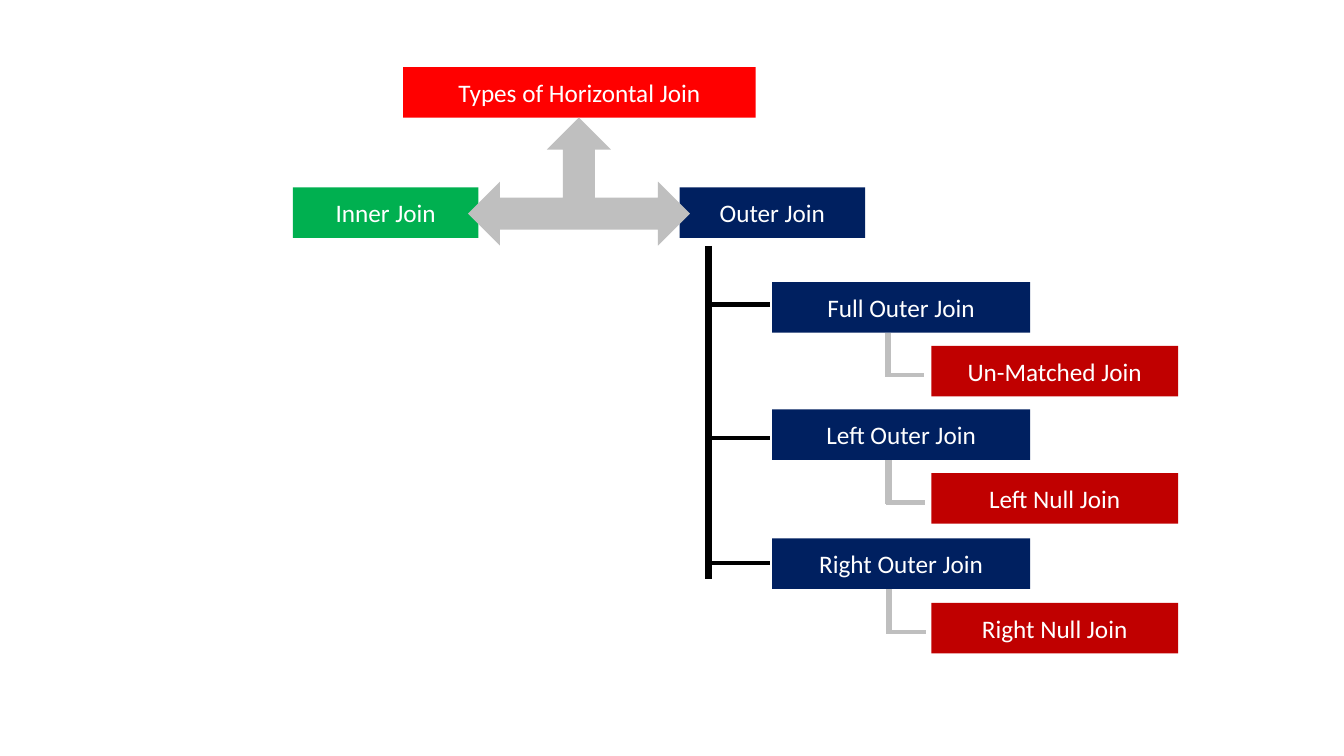
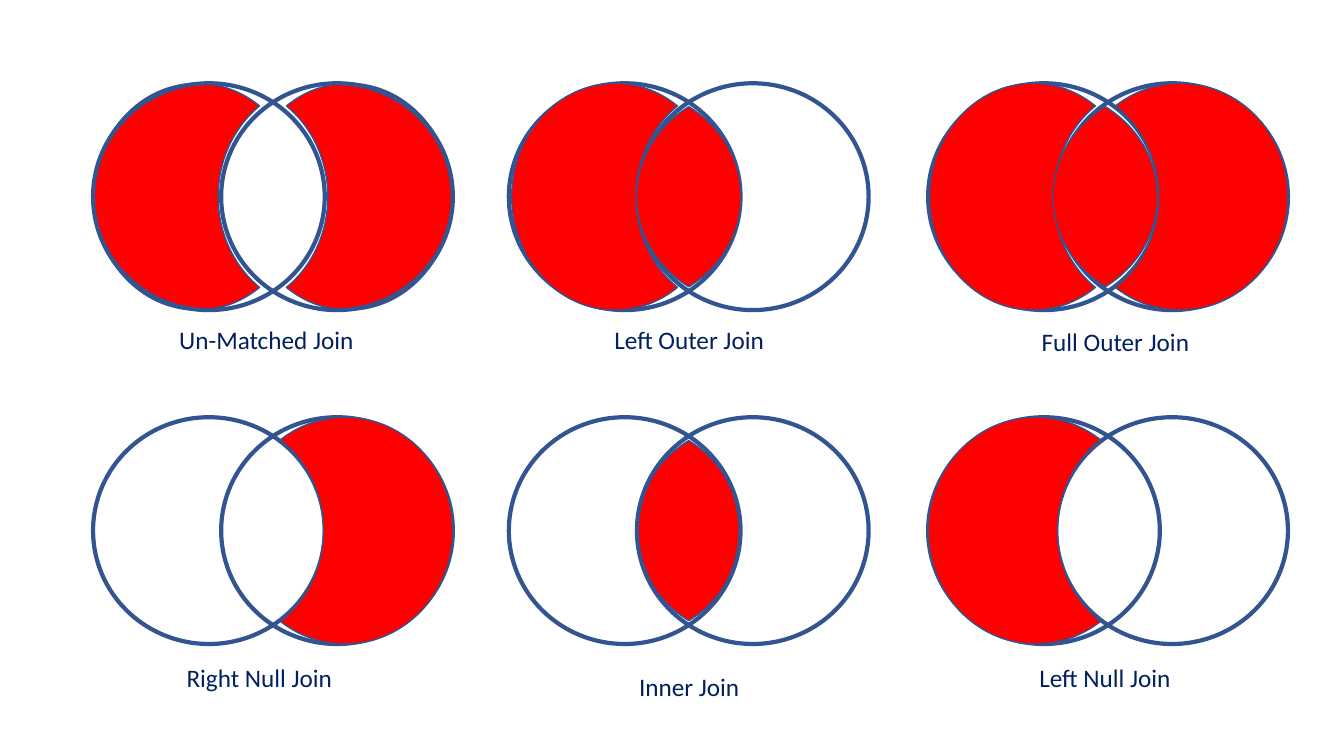
from math import acos, cos, pi, sin, tan

from lxml.etree import SubElement
from pptx import Presentation
from pptx.dml.color import RGBColor
from pptx.enum.shapes import MSO_CONNECTOR as Link, MSO_SHAPE as Kind
from pptx.enum.text import MSO_ANCHOR as Anchor, MSO_AUTO_SIZE as Fit, PP_ALIGN as Align
from pptx.oxml.ns import qn
from pptx.util import Pt

RED = RGBColor(0xFF, 0x00, 0x00)
CRIMSON = RGBColor(0xC0, 0x00, 0x00)
GREEN = RGBColor(0x00, 0xB0, 0x50)
NAVY = RGBColor(0x00, 0x20, 0x60)
BLUE = RGBColor(0x32, 0x54, 0x91)
GREY = RGBColor(0xBF, 0xBF, 0xBF)
BLACK = RGBColor(0x00, 0x00, 0x00)
WHITE = RGBColor(0xFF, 0xFF, 0xFF)

FONT = {"name": "Calibri", "size": Pt(18)}
BOX_H = 36.2
RING_W, RING_H, SHIFT = 165.5, 162, 91.5

BRANCHES = [
    ("Full Outer Join", 201.5, 217.5, "Un-Matched Join", 247),
    ("Left Outer Join", 292.4, 312.6, "Left Null Join", 337.9),
    ("Right Outer Join", 384.5, 401.9, "Right Null Join", 430.6),
]

COLS = [66.5, 363.5, 663]
ROWS = [59.5, 298]
LEFT, RIGHT, LENS = 1, -1, 0
VENNS = [
    ("Un-Matched Join", 116.5, 228, 51, True, [(LEFT, 74.5, 74), (RIGHT, 182.5, 74)]),
    ("Left Outer Join", 418.5, 228, 51, False, [(LENS, 128.5, 83), (LEFT, 76, 74)]),
    ("Full Outer Join", 723, 229.5, 51, False,
     [(LEFT, 75, 74), (RIGHT, 180, 77), (LENS, 126.5, 83)]),
    ("Right Null Join", 111.5, 469.5, 51, False, [(RIGHT, 180, 77)]),
    ("Inner Join", 418.5, 476, 29, True, [(LENS, 128.5, 83)]),
    ("Left Null Join", 715.5, 469.5, 29, False, [(LEFT, 77, 77)]),
]


def paint(shape, fill=None, line=None, width=1):
    shape.shadow.inherit = False
    if fill is None:
        shape.fill.background()
    else:
        shape.fill.solid()
        shape.fill.fore_color.rgb = fill
    if line is None:
        shape.line.fill.background()
    else:
        shape.line.color.rgb = line
        shape.line.width = Pt(width)


def add_form(slide, kind, x, y, w, h, **style):
    shape = slide.shapes.add_shape(kind, Pt(x), Pt(y), Pt(w), Pt(h))
    paint(shape, **style)
    return shape


def write(frame, text, color):
    frame.word_wrap = True
    para = frame.paragraphs[0]
    para.alignment = Align.CENTER
    run = para.add_run()
    run.text = text
    for name, value in FONT.items():
        setattr(run.font, name, value)
    run.font.color.rgb = color


def add_box(slide, text, x, y, w, fill):
    box = add_form(slide, Kind.RECTANGLE, x, y, w, BOX_H, fill=fill)
    box.text_frame.vertical_anchor = Anchor.MIDDLE
    write(box.text_frame, text, WHITE)


def add_label(slide, text, x, y, h):
    label = slide.shapes.add_textbox(Pt(x), Pt(y), Pt(147.5), Pt(h))
    write(label.text_frame, text, NAVY)
    label.text_frame.auto_size = Fit.SHAPE_TO_FIT_TEXT


def add_line(slide, x1, y1, x2, y2, color, width):
    line = slide.shapes.add_connector(Link.STRAIGHT, Pt(x1), Pt(y1), Pt(x2), Pt(y2))
    line.line.color.rgb = color
    line.line.width = Pt(width)
    SubElement(line._element.spPr, qn("a:effectLst"))


def arc(cx, cy, rx, ry, turns):
    dots = []
    for a, b in zip(turns, turns[1:]):
        k = 4 / 3 * tan((b - a) / 4)
        dots += [
            (cos(a) - k * sin(a), sin(a) + k * cos(a)),
            (cos(b) + k * sin(b), sin(b) - k * cos(b)),
            (cos(b), sin(b)),
        ]
    return [(Pt(cx + rx * u), Pt(cy + ry * v)) for u, v in dots]


def crescent(cx, cy, rx, side):
    ry, tip = RING_H / 2, acos(0.6)
    outer = [tip, pi / 2, pi, 3 * pi / 2, 2 * pi - tip]
    inner = [pi + tip, pi, pi - tip]
    return (arc(cx, cy, rx * side, ry, outer)
            + arc(cx + 1.2 * rx * side, cy, rx * side, ry, inner))


def lens(cx, cy, rx):
    ry, tip = 77, acos(0.55)
    return (arc(cx - 0.55 * rx, cy, rx, ry, [-tip, 0, tip])
            + arc(cx + 0.55 * rx, cy, rx, ry, [pi - tip, pi, pi + tip]))


def bend(shape):
    steps = list(shape._element.iter(qn("a:lnTo")))
    for i in range(0, len(steps), 3):
        curve = steps[i].makeelement(qn("a:cubicBezTo"))
        steps[i].addprevious(curve)
        for step in steps[i:i + 3]:
            curve.append(step[0])
            step.getparent().remove(step)


def add_part(slide, side, cx, cy, rx):
    dots = crescent(cx, cy, rx, side) if side else lens(cx, cy, rx)
    pen = slide.shapes.build_freeform(*dots[-1])
    pen.add_line_segments(dots, close=True)
    shape = pen.convert_to_shape()
    bend(shape)
    paint(shape, fill=RED, line=BLUE)


def add_parts(slide, layer):
    for i, (*_, behind, parts) in enumerate(VENNS):
        if behind == layer:
            x, y = COLS[i % 3], ROWS[i // 3]
            for side, dx, rx in parts:
                add_part(slide, side, x + dx, y + RING_H / 2, rx)


def add_rings(slide):
    for y in ROWS:
        for x in COLS:
            for left in (x, x + SHIFT):
                add_form(slide, Kind.OVAL, left, y, RING_W, RING_H, line=BLUE, width=3)


def draw_tree(slide):
    add_box(slide, "Types of Horizontal Join", 288, 47.9, 251.7, RED)
    add_box(slide, "Inner Join", 209.3, 133.8, 132.5, GREEN)
    add_box(slide, "Outer Join", 485.5, 133.8, 132.5, NAVY)
    add_form(slide, Kind.LEFT_RIGHT_UP_ARROW, 334.3, 84, 158.5, 91.5, fill=GREY)
    for text, top, *_ in BRANCHES:
        add_box(slide, text, 551.6, top, 184.2, NAVY)
    for *_, text, top in BRANCHES:
        add_box(slide, text, 665.2, top, 176.3, CRIMSON)
    add_line(slide, 506.2, 175.7, 506.2, 413.3, BLACK, 4.5)
    for _, _, mid, _, _ in BRANCHES:
        add_line(slide, 507.5, mid, 550, mid, BLACK, 3)
    for i, (_, top, _, _, null) in enumerate(BRANCHES):
        stem, foot = 634.3 + 0.4 * i, null + 21
        add_line(slide, stem, top + BOX_H, stem, foot + 1, GREY, 4.5)
        add_line(slide, stem - 2, foot, stem + 26, foot, GREY, 3)


def draw_venns(slide):
    add_parts(slide, True)
    add_rings(slide)
    add_parts(slide, False)
    for text, x, y, h, *_ in VENNS:
        add_label(slide, text, x, y, h)


def main():
    deck = Presentation()
    deck.slide_width, deck.slide_height = Pt(960), Pt(540)
    for draw in (draw_tree, draw_venns):
        draw(deck.slides.add_slide(deck.slide_layouts[6]))
    deck.save("out.pptx")


if __name__ == "__main__":
    main()
